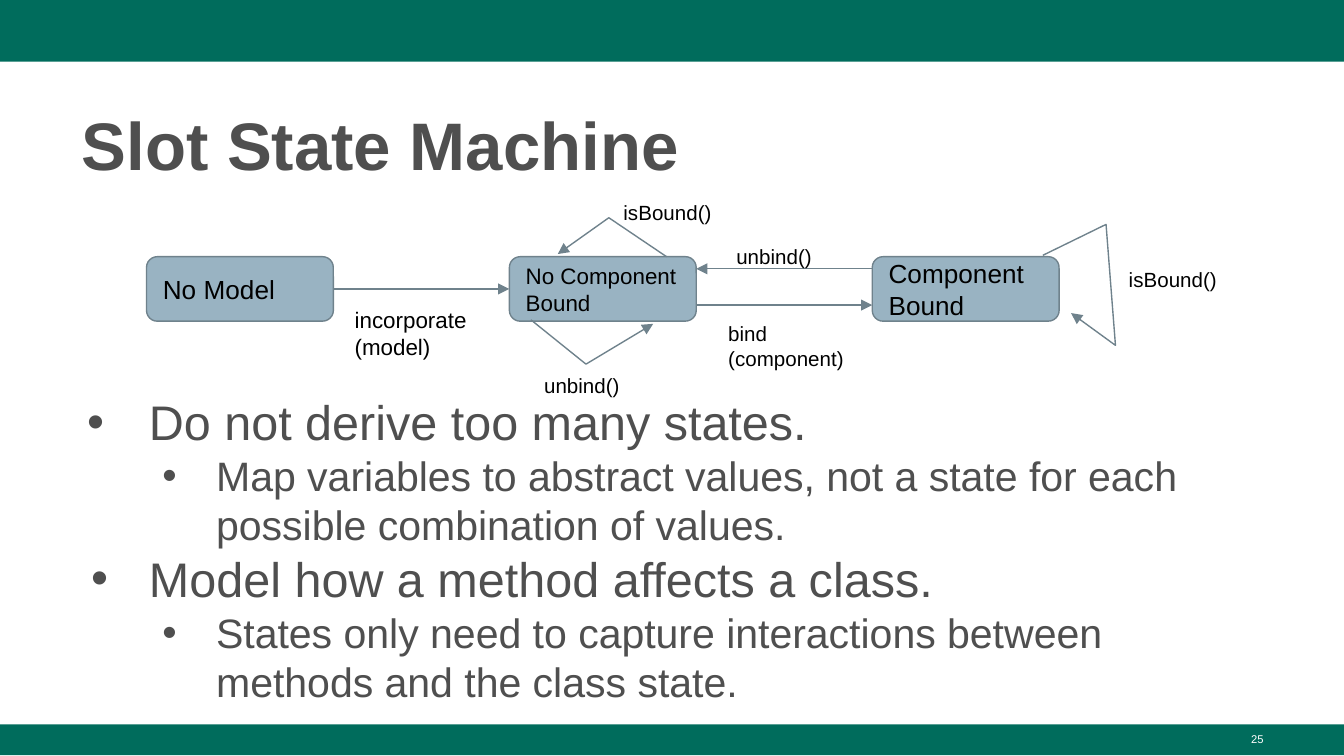
from lxml import etree
from pptx import Presentation
from pptx.dml.color import RGBColor
from pptx.enum.shapes import MSO_CONNECTOR, MSO_SHAPE
from pptx.enum.text import MSO_ANCHOR, PP_ALIGN
from pptx.oxml.ns import qn
from pptx.util import Inches, Pt

GREEN, GREY, BLACK, WHITE = "006C5C", "4F4F4F", "000000", "FFFFFF"
STATE_FILL, STATE_LINE = "99B3C2", "6F828C"
STATE_WIDTH, STATE_HEIGHT, STATE_PITCH = 1.39, 0.48, 2.7


def color(hex_string):
    return RGBColor.from_string(hex_string)


def style_font(para, size, hex_string, bold=False):
    for run in para.runs:
        font = run.font
        font.name, font.size, font.bold = "Arial", Pt(size), bold
        font.color.rgb = color(hex_string)


def set_insets(frame, side, top):
    frame.margin_left = frame.margin_right = Inches(side)
    frame.margin_top = frame.margin_bottom = Inches(top)


def add_text(page, box, text, size, hex_string=BLACK, inset=0.1, bold=False):
    frame = page.shapes.add_textbox(*map(Inches, box)).text_frame
    frame.word_wrap = True
    set_insets(frame, 0.1, inset)
    frame.text = text
    style_font(frame.paragraphs[0], size, hex_string, bold)
    return frame


def add_bar(page, box):
    bar = page.shapes.add_shape(MSO_SHAPE.RECTANGLE, *map(Inches, box))
    bar.shadow.inherit = False
    bar.fill.solid()
    bar.fill.fore_color.rgb = color(GREEN)
    bar.line.fill.background()


def add_state(page, left, top, text, size):
    state = page.shapes.add_shape(
        MSO_SHAPE.ROUNDED_RECTANGLE,
        *map(Inches, (left, top, STATE_WIDTH, STATE_HEIGHT)))
    state.shadow.inherit = False
    state.fill.solid()
    state.fill.fore_color.rgb = color(STATE_FILL)
    state.line.color.rgb = color(STATE_LINE)
    state.line.width = Pt(0.75)
    frame = state.text_frame
    frame.word_wrap = True
    frame.vertical_anchor = MSO_ANCHOR.MIDDLE
    set_insets(frame, 0.1, 0.1)
    frame.text = text
    frame.paragraphs[0].alignment = PP_ALIGN.LEFT
    style_font(frame.paragraphs[0], size, BLACK)


def add_transition(page, points):
    """Draw an arrow through the points: straight for two, a bent path for more."""
    corners = [(Inches(x), Inches(y)) for x, y in points]
    if len(corners) == 2:
        arrow = page.shapes.add_connector(
            MSO_CONNECTOR.STRAIGHT, *corners[0], *corners[1])
        etree.SubElement(arrow.line._get_or_add_ln().getparent(), qn("a:effectLst"))
    else:
        builder = page.shapes.build_freeform(*corners[0])
        builder.add_line_segments(corners[1:], close=False)
        arrow = builder.convert_to_shape()
        arrow.shadow.inherit = False
        arrow.fill.background()
    arrow.line.color.rgb = color(STATE_LINE)
    arrow.line.width = Pt(0.75)
    etree.SubElement(arrow.line._get_or_add_ln(), qn("a:tailEnd"), type="triangle")


def add_state_machine(page, left, top):
    """Place the states in a row, then the transitions relative to its corner."""
    states = [("No Model", 14), ("No Component Bound", 12), ("Component Bound", 14)]
    for index, (text, size) in enumerate(states):
        add_state(page, left + index * STATE_PITCH, top, text, size)

    second, third = STATE_PITCH, 2 * STATE_PITCH
    transitions = [
        [(STATE_WIDTH, 0.24), (second, 0.24)],
        [(second + STATE_WIDTH, 0.36), (third, 0.36)],
        [(third, 0.09), (second + STATE_WIDTH, 0.09)],
        [(2.86, 0.47), (3.27, 0.8), (3.77, 0.5)],
        [(3.87, 0), (3.44, -0.29), (3.06, -0.02)],
        [(6.67, -0.01), (7.14, -0.24), (7.21, 0.66), (6.88, 0.42)],
    ]
    for points in transitions:
        add_transition(page, [(left + x, top + y) for x, y in points])

    labels = [
        ("incorporate (model)", 1.45, 0.3, 1.15, 12),
        ("bind (component)", 4.23, 0.41, 1.06, 11),
        ("unbind()", 4.29, -0.17, 0.91, 11),
        ("unbind()", 2.86, 0.79, 0.91, 11),
        ("isBound()", 3.45, -0.5, 0.91, 11),
        ("isBound()", 7.21, 0, 0.91, 11),
    ]
    for text, x, y, width, size in labels:
        add_text(page, (left + x, top + y, width, 0.17), text, size)


def add_bullets(page, box, items):
    frame = page.shapes.add_textbox(*map(Inches, box)).text_frame
    frame.word_wrap = True
    set_insets(frame, 0.1, 0.05)
    for index, (level, indent, text) in enumerate(items):
        para = frame.add_paragraph() if index else frame.paragraphs[0]
        para.text = text
        para.level = level
        para.line_spacing = 1.0
        properties = para._p.get_or_add_pPr()
        properties.set("marL", str(Inches(0.5 * (level + 1))))
        properties.set("indent", str(Inches(indent)))
        bullet_color = etree.SubElement(properties, qn("a:buClr"))
        etree.SubElement(bullet_color, qn("a:srgbClr"), val=GREY)
        etree.SubElement(properties, qn("a:buFont"), typeface="Arial")
        etree.SubElement(properties, qn("a:buChar"), char="•")
        style_font(para, 22 if level else 26, GREY)


def main():
    deck = Presentation()
    deck.slide_width = Inches(10)
    deck.slide_height = deck.slide_width * 9 // 16
    page = deck.slides.add_slide(deck.slide_layouts[6])

    add_bar(page, (0, 0, 10, 0.46))
    add_bar(page, (0, 5.39, 10, 0.23))
    title = add_text(page, (0.51, 0.67, 8.99, 0.73), "Slot State Machine",
                     36, GREY, inset=0.05, bold=True)
    title.paragraphs[0].line_spacing = 1.08
    add_bullets(page, (0.51, 2.87, 8.99, 2.34), [
        (0, -0.46, "Do not derive too many states."),
        (1, -0.4, "Map variables to abstract values, not a state for each "
                  "possible combination of values."),
        (0, -0.43, "Model how a method affects a class."),
        (1, -0.4, "States only need to capture interactions between "
                  "methods and the class state."),
    ])
    add_state_machine(page, 1.09, 1.91)
    number = add_text(page, (7.17, 5.4, 2.33, 0.23), "25", 6, WHITE, inset=0.05)
    number.paragraphs[0].alignment = PP_ALIGN.RIGHT
    deck.save("out.pptx")


if __name__ == "__main__":
    main()
